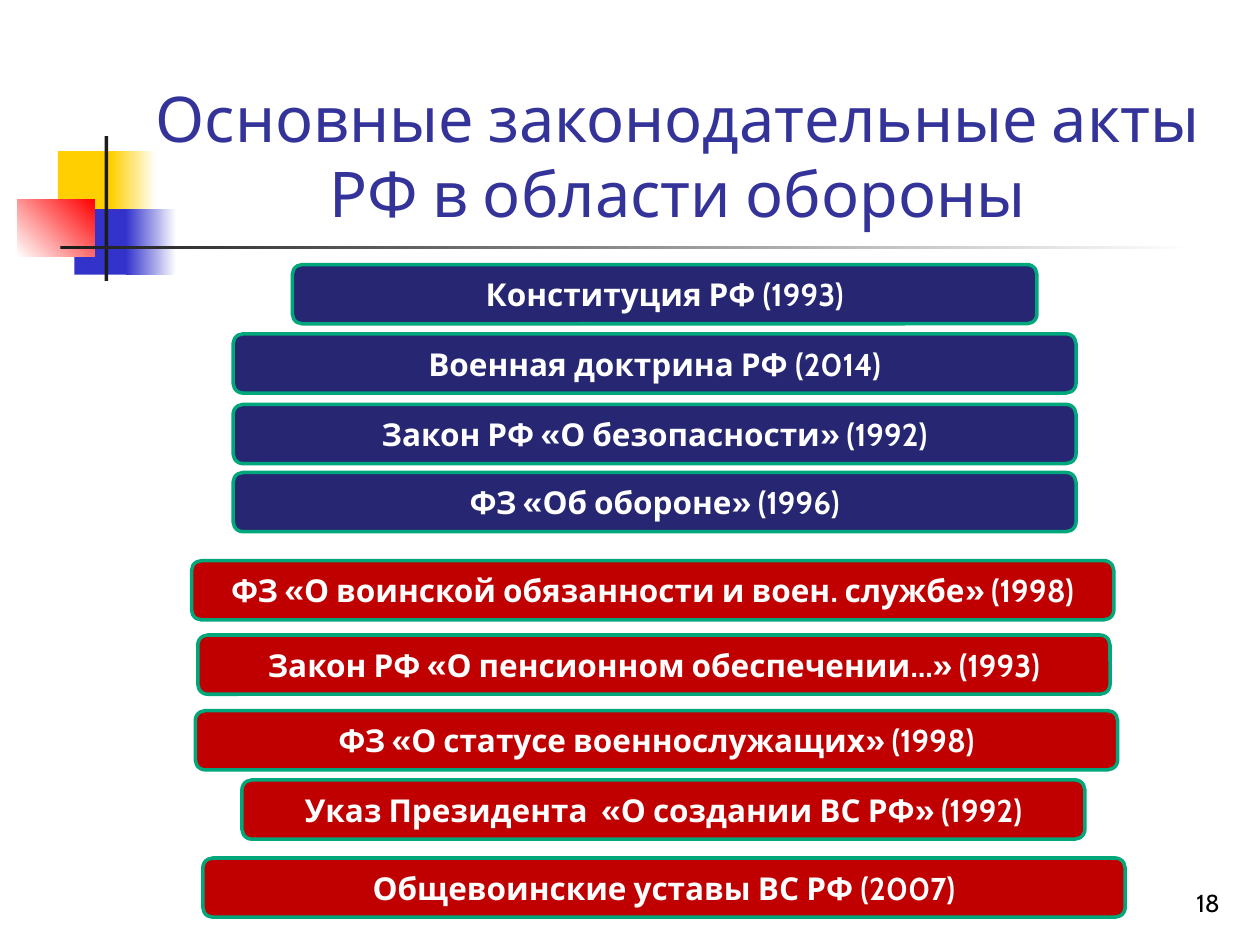
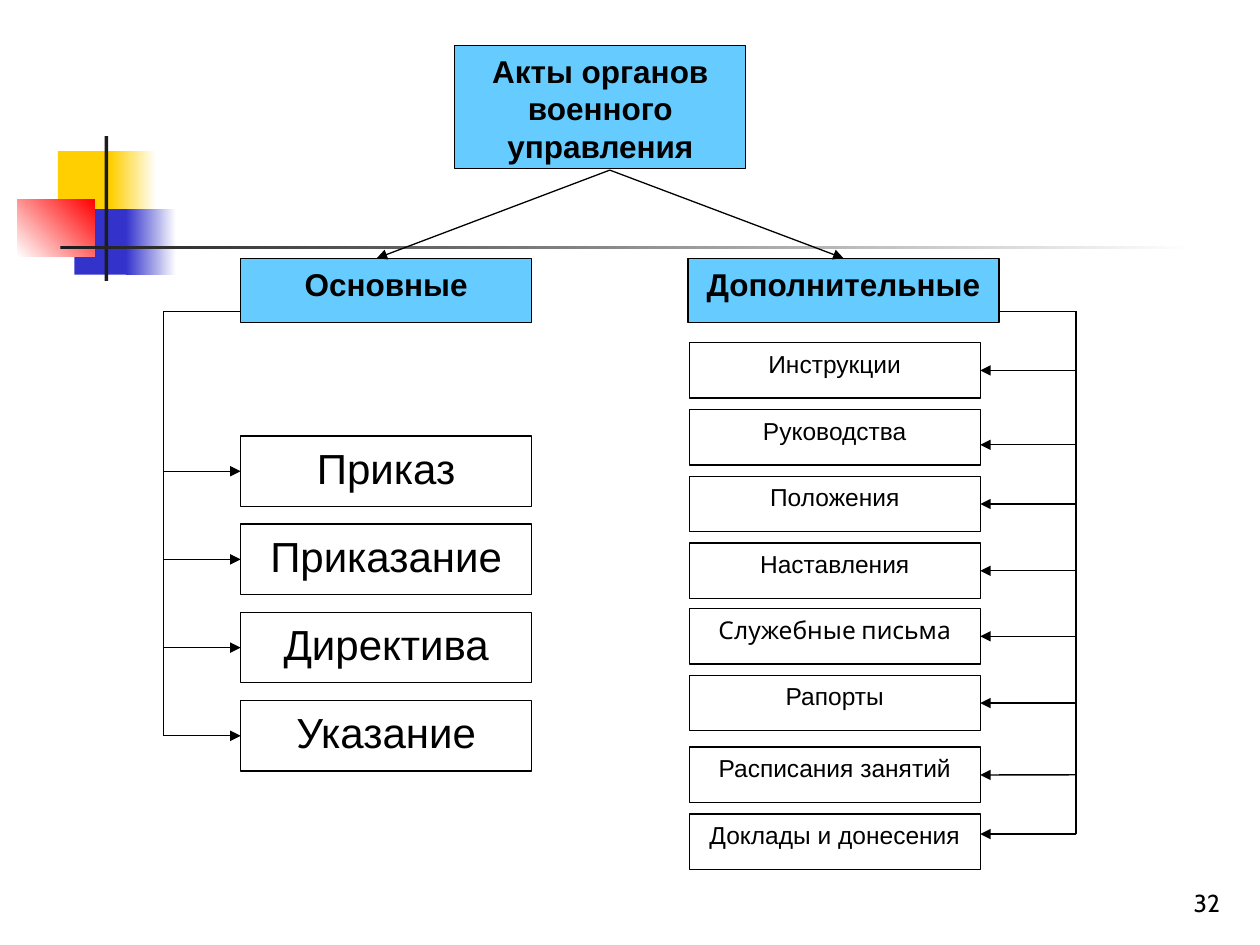
from dataclasses import dataclass

from lxml.etree import SubElement
from pptx import Presentation
from pptx.dml.color import RGBColor as RGB
from pptx.enum.shapes import MSO_CONNECTOR as Connector, MSO_SHAPE as Shape
from pptx.enum.text import MSO_ANCHOR as Anchor, MSO_AUTO_SIZE as AutoSize, PP_ALIGN as Align
from pptx.oxml.ns import qn
from pptx.util import Inches, Pt


@dataclass(frozen=True)
class Theme:
    ink: str = "000000"
    paper: str = "FFFFFF"
    title: str = "333399"
    yellow: str = "FFCF01"
    blue: str = "3333CC"
    red: str = "FF0000"
    rule: str = "1C1C1C"
    defence_act: str = "262673"
    service_act: str = "C00000"
    act_border: str = "00A77A"
    heading: str = "66CCFF"
    title_font: str = "Cabin"
    chart_font: str = "Arial"
    title_size: int = 36
    large_size: int = 24
    medium_size: int = 18
    small_size: int = 14
    act_line: float = 2
    chart_line: float = 0.75


@dataclass(frozen=True)
class Box:
    left: float
    top: float
    width: float
    height: float

    def inner(self, left, top, width, height):
        return Box(self.left + left, self.top + top, width, height)

    def lengths(self):
        return [Inches(v) for v in (self.left, self.top, self.width, self.height)]


THEME = Theme()
PAGE = Box(0, 0, 10, 7.5)
TITLE = Box(0.98, 0.23, 8.8, 1.6)
PAGE_NUMBER = Box(7.7, 6.83, 2.08, 0.5)
EMBLEM = Box(0.14, 1.08, 9.34, 1.15)
ACTS = Box(1.52, 2.1, 7.41, 5.18)
ROOT = Box(3.61, 0.36, 2.31, 0.98)
MAIN_BRANCH = Box(1.3, 2.05, 2.92, 4.08)
EXTRA_BRANCH = Box(5.46, 2.05, 3.08, 4.85)
TRUNK_DROP = 0.42
ITEM_WIDTH = 2.31

DEFENCE_ACTS = [
    ("Конституция РФ (1993)", 0.8, 0, 5.91),
    ("Военная доктрина РФ (2014)", 0.33, 0.55, 6.69),
    ("Закон РФ «О безопасности» (1992)", 0.33, 1.11, 6.69),
    ("ФЗ «Об обороне» (1996)", 0.33, 1.65, 6.69),
]
SERVICE_ACTS = [
    ("ФЗ «О воинской обязанности и воен. службе» (1998)", 0, 2.35, 7.32),
    ("Закон РФ «О пенсионном обеспечении…» (1993)", 0.05, 2.94, 7.24),
    ("ФЗ «О статусе военнослужащих» (1998)", 0.03, 3.54, 7.32),
    ("Указ Президента  «О создании ВС РФ» (1992)", 0.4, 4.09, 6.69),
    ("Общевоинские уставы ВС РФ (2007)", 0.09, 4.71, 7.32),
]
MAIN_DOCUMENTS = [
    (name, 1.41 + 0.7 * row, 0, THEME.chart_font)
    for row, name in enumerate(["Приказ", "Приказание", "Директива", "Указание"])
]
EXTRA_DOCUMENTS = [
    ("Инструкции", 0.67, 0, THEME.chart_font),
    ("Руководства", 1.2, 0.06, THEME.chart_font),
    ("Положения", 1.73, 0, THEME.chart_font),
    ("Наставления", 2.26, 0, THEME.chart_font),
    ("Служебные письма", 2.78, 0, THEME.title_font),
    ("Рапорты", 3.31, 0, THEME.chart_font),
    ("Расписания занятий", 3.88, 0, THEME.chart_font),
    ("Доклады и донесения", 4.41, -0.06, THEME.chart_font),
]


def write(frame, text, font, size, color, align=Align.CENTER, anchor=Anchor.TOP, bold=False):
    frame.word_wrap = True
    frame.vertical_anchor = anchor
    frame.text = text
    for paragraph in frame.paragraphs:
        paragraph.alignment = align
        paragraph.font.name = font
        paragraph.font.size = Pt(size)
        paragraph.font.bold = bold
        paragraph.font.color.rgb = RGB.from_string(color)


def add_block(slide, box, fill, border=None, width=THEME.chart_line, kind=Shape.RECTANGLE):
    block = slide.shapes.add_shape(kind, *box.lengths())
    block.shadow.inherit = False
    block.fill.solid()
    block.fill.fore_color.rgb = RGB.from_string(fill)
    if border:
        block.line.color.rgb = RGB.from_string(border)
        block.line.width = Pt(width)
    else:
        block.line.fill.background()
    return block


def add_label(slide, box, text, fill, font, size, bold=False):
    label = add_block(slide, box, fill, THEME.ink)
    write(label.text_frame, text, font, size, THEME.ink, bold=bold)
    return label


def add_line(slide, start, end, arrow=False):
    line = slide.shapes.add_connector(
        Connector.STRAIGHT, *[Inches(v) for v in (*start, *end)])
    line.line.color.rgb = RGB.from_string(THEME.ink)
    line.line.width = Pt(THEME.chart_line)
    properties = line.element.spPr
    if arrow:
        SubElement(properties.find(qn("a:ln")), qn("a:tailEnd"), type="triangle")
    SubElement(properties, qn("a:effectLst"))
    return line


def add_emblem(slide, box):
    parts = [
        (0.32, 0.12, 0.48, 0.52, THEME.yellow, None, 0),
        (0.74, 0.12, 0.36, 0.52, THEME.yellow, THEME.paper, 0),
        (0.45, 0.58, 0.46, 0.52, THEME.blue, None, 0),
        (0.86, 0.58, 0.4, 0.52, THEME.blue, THEME.paper, 0),
        (0, 0.5, 0.61, 0.46, THEME.paper, THEME.red, 45),
        (0.69, 0, 0.03, 1.15, THEME.rule, None, 0),
        (0.34, 0.87, 9, 0.03, THEME.rule, THEME.paper, 0),
    ]
    for left, top, width, height, color, fade, angle in parts:
        part = add_block(slide, box.inner(left, top, width, height), color)
        if fade:
            part.fill.gradient()
            part.fill.gradient_angle = angle
            for stop, shade in zip(part.fill.gradient_stops, (color, fade)):
                stop.color.rgb = RGB.from_string(shade)


def add_page_number(slide, box, number):
    frame = slide.shapes.add_textbox(*box.lengths()).text_frame
    write(frame, number, THEME.title_font, THEME.small_size, THEME.ink,
          Align.RIGHT, Anchor.BOTTOM)


def add_title(slide, box, text):
    title = slide.shapes.title
    title.left, title.top, title.width, title.height = box.lengths()
    frame = title.text_frame
    frame.auto_size = AutoSize.NONE
    frame.margin_top = frame.margin_bottom = 0
    write(frame, text, THEME.title_font, THEME.title_size, THEME.title, anchor=Anchor.BOTTOM)


def add_acts(slide, box, acts, fill):
    for name, left, top, width in acts:
        bar = add_block(slide, box.inner(left, top, width, 0.47), fill,
                        THEME.act_border, THEME.act_line, Shape.ROUNDED_RECTANGLE)
        write(bar.text_frame, name, THEME.title_font, THEME.medium_size, THEME.paper,
              anchor=Anchor.MIDDLE, bold=True)


def add_branch(slide, box, name, heading_width, documents, item_height, size, trunk_on_left):
    if trunk_on_left:
        trunk_x = box.left
        heading_left = item_left = box.width - heading_width
        heading_edge = item_edge = box.left + heading_left
        side = 1
    else:
        trunk_x = box.left + box.width
        heading_left, item_left = 0, 0.01
        heading_edge = box.left + heading_width
        item_edge = box.left + item_left + ITEM_WIDTH
        side = 3
    heading = add_label(slide, box.inner(heading_left, 0, heading_width, 0.51), name,
                        THEME.heading, THEME.chart_font, THEME.medium_size, True)
    for document, top, arrow_shift, font in documents:
        item_box = box.inner(item_left, top, ITEM_WIDTH, item_height)
        item = add_label(slide, item_box, document, THEME.paper, font, size)
        arrow_y = item_box.top + item_height / 2 + arrow_shift
        arrow = add_line(slide, (trunk_x, arrow_y), (item_edge, arrow_y), True)
        if not arrow_shift:
            arrow.end_connect(item, side)
    trunk_y = box.top + TRUNK_DROP
    add_line(slide, (heading_edge, trunk_y), (trunk_x, trunk_y))
    add_line(slide, (trunk_x, trunk_y), (trunk_x, arrow_y))
    return heading


def add_root(slide, box, text, extra_heading):
    add_label(slide, box, text, THEME.heading, THEME.chart_font, THEME.medium_size, True)
    fork = (box.left + 1.23, box.top + 0.99)
    add_line(slide, fork, (box.left - 0.62, box.top + 1.69), True)
    extra_arrow = add_line(slide, fork, (box.left + 3.08, box.top + 1.69), True)
    extra_arrow.end_connect(extra_heading, 0)


def start_slide(deck, layout, number):
    slide = deck.slides.add_slide(deck.slide_layouts[layout])
    add_emblem(slide, EMBLEM)
    add_page_number(slide, PAGE_NUMBER, number)
    return slide


def build_legislation(deck):
    slide = start_slide(deck, 5, "18")
    add_title(slide, TITLE, "Основные законодательные акты РФ в области обороны")
    add_acts(slide, ACTS, DEFENCE_ACTS, THEME.defence_act)
    add_acts(slide, ACTS, SERVICE_ACTS, THEME.service_act)


def build_command_acts(deck):
    slide = start_slide(deck, 6, "32")
    add_branch(slide, MAIN_BRANCH, "Основные", 2.31, MAIN_DOCUMENTS, 0.56,
               THEME.large_size, True)
    extra_heading = add_branch(slide, EXTRA_BRANCH, "Дополнительные", 2.47, EXTRA_DOCUMENTS,
                               0.44, THEME.small_size, False)
    add_root(slide, ROOT, "Акты органов\nвоенного управления", extra_heading)


def main():
    deck = Presentation()
    deck.slide_width, deck.slide_height = Inches(PAGE.width), Inches(PAGE.height)
    build_legislation(deck)
    build_command_acts(deck)
    deck.save("out.pptx")


if __name__ == "__main__":
    main()
